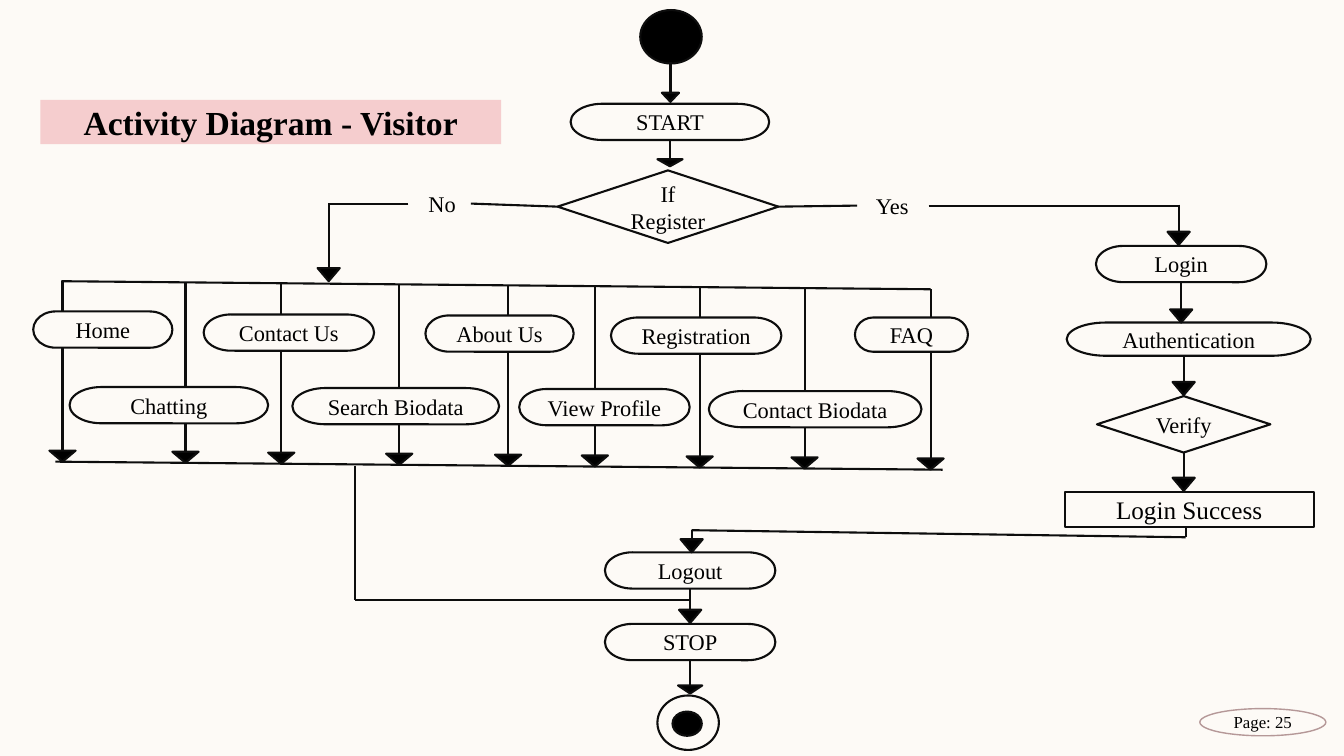
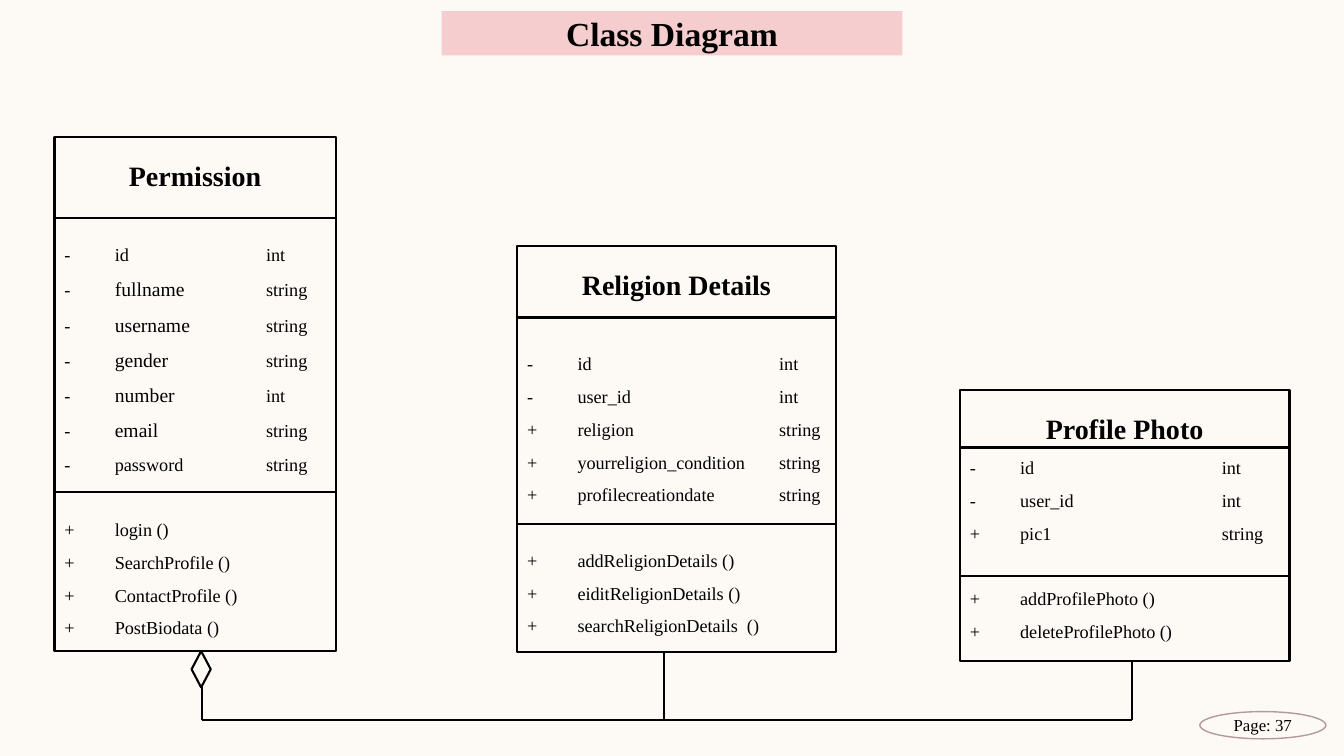
from lxml.etree import SubElement
from pptx import Presentation
from pptx.dml.color import RGBColor
from pptx.enum.shapes import MSO_CONNECTOR, MSO_SHAPE
from pptx.enum.text import MSO_ANCHOR, PP_ALIGN
from pptx.oxml.ns import qn
from pptx.util import Inches, Pt

CREAM = RGBColor(0xFD, 0xFA, 0xF6)
PINK = RGBColor(0xF5, 0xCD, 0xCE)
MAUVE = RGBColor(0xB5, 0x98, 0x98)
INK = RGBColor(0x0D, 0x0D, 0x0D)
BLACK = RGBColor(0, 0, 0)
FONT = "Times New Roman"

PILL = MSO_SHAPE.FLOWCHART_TERMINATOR
CHOICE = MSO_SHAPE.FLOWCHART_DECISION
RECT = MSO_SHAPE.RECTANGLE
OVAL = MSO_SHAPE.OVAL
HEAD = MSO_SHAPE.FLOWCHART_MERGE

# Activity diagram: text, shape, (left, top, width, height), size
NODES = [
    ("START", PILL, (5.66, 1.03, 1.97, 0.36), 16),
    ("If\nRegister", CHOICE, (5.53, 1.69, 2.19, 0.72), 16),
    ("Login", PILL, (10.87, 2.44, 1.69, 0.36), 16),
    ("Authentication", PILL, (10.58, 3.2, 2.42, 0.33), 16),
    ("Verify", CHOICE, (10.88, 3.93, 1.72, 0.56), 16),
    ("Login Success", RECT, (10.56, 4.88, 2.47, 0.35), 18),
    ("Logout", PILL, (6, 5.48, 1.69, 0.36), 16),
    ("STOP", PILL, (6, 6.19, 1.69, 0.36), 16),
]
LABELS = [("No", (4.1, 1.85, 0.57, 0.34)), ("Yes", (8.5, 1.89, 0.7, 0.29))]
DOTS = [  # box, fill
    ((6.35, 0.1, 0.61, 0.53), BLACK),
    ((6.52, 6.9, 0.61, 0.54), None),
    ((6.67, 7.06, 0.29, 0.24), BLACK),
]
MENU = [  # text, left, top, width, x of its stem
    ("Home", 0.33, 3.09, 1.38, 0.62),
    ("Chatting", 0.69, 3.84, 1.97, 1.84),
    ("Contact Us", 2.02, 3.12, 1.69, 2.79),
    ("Search Biodata", 2.9, 3.85, 2.05, 3.96),
    ("About Us", 4.22, 3.13, 1.47, 5.04),
    ("View Profile", 5.15, 3.86, 1.69, 5.9),
    ("Registration", 6.06, 3.15, 1.69, 6.94),
    ("Contact Biodata", 7.03, 3.88, 2.11, 7.98),
    ("FAQ", 8.48, 3.15, 1.12, 9.23),
]
UPPER = (0.61, 2.79), (9.23, 2.87)
LOWER = (0.55, 4.58), (9.35, 4.66)
WIRES = [  # a point is (x, y) or (node, side)
    [(4.67, 2.02), ("If\nRegister", 1)],
    [("If\nRegister", 3), (8.5, 2.04)],
    [(4.05, 2.02), (3.25, 2.02)],
    [(9.21, 2.04), (11.69, 2.04)],
    [(11.76, 5.23), (11.76, 5.33), (6.86, 5.26)],
    [(3.52, 4.62), (3.52, 5.95), (6.84, 5.95)],
]
DROPS = [  # start, y of the tip, head width, head height
    ((6.65, 0.62), 1.01, 0.17, 0.09),
    (("START", 2), 1.65, 0.25, 0.07),
    ((3.26, 2.02), 2.79, 0.22, 0.13),
    ((11.69, 2.03), 2.43, 0.22, 0.13),
    (("Login", 2), 3.2, 0.22, 0.13),
    ((11.74, 3.53), 3.92, 0.22, 0.13),
    (("Verify", 2), 4.87, 0.22, 0.13),
    ((6.86, 5.26), 5.48, 0.22, 0.13),
    (("Logout", 2), 6.18, 0.22, 0.13),
    (("STOP", 2), 6.88, 0.24, 0.08),
]

# Class diagram: fields are (sign, name, type, size)
CLASSES = [
    {"name": "Permission", "box": (0.54, 1.36, 2.79, 5.1),
     "rules": (2.16, 4.88), "gap": 28.8, "tab": 2,
     "fields": [("-", "id", "int", 13), ("-", "fullname", "string", 14),
                ("-", "username", "string", 14), ("-", "gender", "string", 14),
                ("-", "number", "int", 14), ("-", "email", "string", 14),
                ("-", "password", "string", 13)],
     "calls": ["login ()", "SearchProfile ()", "ContactProfile ()", "PostBiodata ()"]},
    {"name": "Religion Details", "box": (5.13, 2.44, 3.16, 4.03),
     "rules": (3.15, 5.2), "gap": 28.8, "tab": 2.5,
     "fields": [("-", "id", "int", 13), ("-", "user_id", "int", 13),
                ("+", "religion", "string", 13),
                ("+", "yourreligion_condition", "string", 13),
                ("+", "profilecreationdate", "string", 13)],
     "calls": ["addReligionDetails ()", "eiditReligionDetails ()",
               "searchReligionDetails  ()"]},
    {"name": "Profile Photo", "box": (9.52, 3.87, 3.27, 2.69),
     "rules": (4.44, 5.71), "gap": 0, "tab": 2.5,
     "fields": [("-", "id", "int", 13), ("-", "user_id", "int", 13),
                ("+", "pic1", "string", 13)],
     "calls": ["addProfilePhoto ()", "deleteProfilePhoto ()"]},
]
BUS = 7.14
LINKS = [(2, 6.82), (6.59, 6.46), (11.23, 6.55)]
LEAD = 1.8  # line pitch as a multiple of the font size


def style(run, size, bold=False):
    font = run.font
    font.name, font.size, font.bold = FONT, Pt(size), bold
    font.color.rgb = BLACK


def shape(slide, kind, box, fill=None, line=None, width=1.5):
    item = slide.shapes.add_shape(kind, *map(Inches, box))
    item.shadow.inherit = False
    if fill is None:
        item.fill.background()
    else:
        item.fill.solid()
        item.fill.fore_color.rgb = fill
    if line is None:
        item.line.fill.background()
    else:
        item.line.color.rgb = line
        item.line.width = Pt(width)
    return item


def write(item, text, size, bold=False):
    """Centre text in a shape, with no insets."""
    frame = item.text_frame
    frame.margin_left = frame.margin_right = 0
    frame.margin_top = frame.margin_bottom = 0
    frame.vertical_anchor = MSO_ANCHOR.MIDDLE
    frame.word_wrap = True
    frame.text = text
    for para in frame.paragraphs:
        para.alignment = PP_ALIGN.CENTER
        for run in para.runs:
            style(run, size, bold)


def wire(slide, start, end, color=INK):
    line = slide.shapes.add_connector(
        MSO_CONNECTOR.STRAIGHT, *map(Inches, (*start, *end)))
    line.line.color.rgb = color
    line.line.width = Pt(1.5)
    SubElement(line._element.spPr, qn("a:effectLst"))
    return line


def page(deck, title, left, top, number, foot):
    slide = deck.slides.add_slide(deck.slide_layouts[6])
    write(shape(slide, RECT, (left, top, 4.57, 0.44), PINK), title, 24, True)
    oval = shape(slide, OVAL, (11.9, foot, 1.25, 0.27), None, MAUVE, 1)
    write(oval, f"Page: {number}", 12)
    return slide


def level(rail, x):
    """Height of a sloping rail at x."""
    (x1, y1), (x2, y2) = rail
    return y1 + (y2 - y1) * (x - x1) / (x2 - x1)


def spot(point, nodes):
    """Place of a point, which may be the side of a node."""
    if point[0] not in nodes:
        return point
    x, y, w, h = nodes[point[0]][1]
    return [(x + w / 2, y), (x, y + h / 2),
            (x + w / 2, y + h), (x + w, y + h / 2)][point[1]]


def join(slide, start, end, nodes):
    line = wire(slide, spot(start, nodes), spot(end, nodes))
    if start[0] in nodes:
        line.begin_connect(nodes[start[0]][0], start[1])
    if end[0] in nodes:
        line.end_connect(nodes[end[0]][0], end[1])


def drop(slide, start, tip, w, h, nodes):
    """Draw a vertical arrow down to tip."""
    x = spot(start, nodes)[0]
    join(slide, start, (x, tip - h / 2), nodes)
    shape(slide, HEAD, (x - w / 2, tip - h, w, h), BLACK, INK)


def activity(deck):
    slide = page(deck, "Activity Diagram - Visitor", 0.4, 0.99, 25, 7.03)
    nodes = {}
    for text, kind, box, size in NODES:
        item = shape(slide, kind, box, None, INK)
        write(item, text, size)
        nodes[text] = item, box
    for text, box in LABELS:
        write(shape(slide, PILL, box, CREAM), text, 16)
    for box, fill in DOTS:
        shape(slide, OVAL, box, fill, INK)
    for rail in (UPPER, LOWER):
        wire(slide, *rail)
    for text, left, top, width, x in MENU:
        high = 0.34 if text == "FAQ" else 0.36
        write(shape(slide, PILL, (left, top, width, high), None, INK), text, 16)
        wire(slide, (x, level(UPPER, x)), (x, top))
        drop(slide, (x, top + high), level(LOWER, x), 0.26, 0.11, nodes)
    for path in WIRES:
        for start, end in zip(path, path[1:]):
            join(slide, start, end, nodes)
    for start, tip, w, h in DROPS:
        drop(slide, start, tip, w, h, nodes)


def row(frame, parts, stops, gap=0):
    """Add a line of (text, size) parts set on tab stops."""
    para = frame.add_paragraph()
    para.alignment = PP_ALIGN.LEFT
    para.line_spacing = Pt(LEAD * max(size for _, size in parts))
    para.space_before = Pt(gap)
    tabs = SubElement(para._p.get_or_add_pPr(), qn("a:tabLst"))
    for stop in stops:
        SubElement(tabs, qn("a:tab"), pos=str(Inches(stop)), algn="l")
    for text, size in parts:
        run = para.add_run()
        run.text = text
        style(run, size)


def card(slide, data):
    left, _, width, _ = data["box"]
    item = shape(slide, RECT, data["box"], None, BLACK)
    frame = item.text_frame
    frame.word_wrap = True
    frame.vertical_anchor = MSO_ANCHOR.TOP
    head = frame.paragraphs[0]
    head.text = data["name"]
    head.alignment = PP_ALIGN.CENTER
    head.line_spacing = Pt(LEAD * 20)
    style(head.runs[0], 20, True)
    stops = (0.5, data["tab"])
    for i, (sign, name, kind, size) in enumerate(data["fields"]):
        parts = [(sign + "\t", 13), (name, size), ("\t" + kind, 13)]
        row(frame, parts, stops, 0 if i else data["gap"])
    for i, call in enumerate(data["calls"]):
        row(frame, [("+\t" + call, 13)], stops, 0 if i else LEAD * 13)
    for y in data["rules"]:
        wire(slide, (left, y), (left + width, y), BLACK)


def classes(deck):
    slide = page(deck, "Class Diagram", 4.38, 0.11, 37, 7.06)
    for data in CLASSES:
        card(slide, data)
    for x, y in LINKS:
        wire(slide, (x, y), (x, BUS), BLACK)
    wire(slide, (LINKS[0][0], BUS), (LINKS[-1][0], BUS), BLACK)
    shape(slide, CHOICE, (1.9, 6.46, 0.19, 0.36), None, BLACK)


def main():
    deck = Presentation()
    deck.slide_width, deck.slide_height = Inches(13.33), Inches(7.5)
    fill = deck.slide_master.background.fill
    fill.solid()
    fill.fore_color.rgb = CREAM
    activity(deck)
    classes(deck)
    deck.save("out.pptx")


if __name__ == "__main__":
    main()
